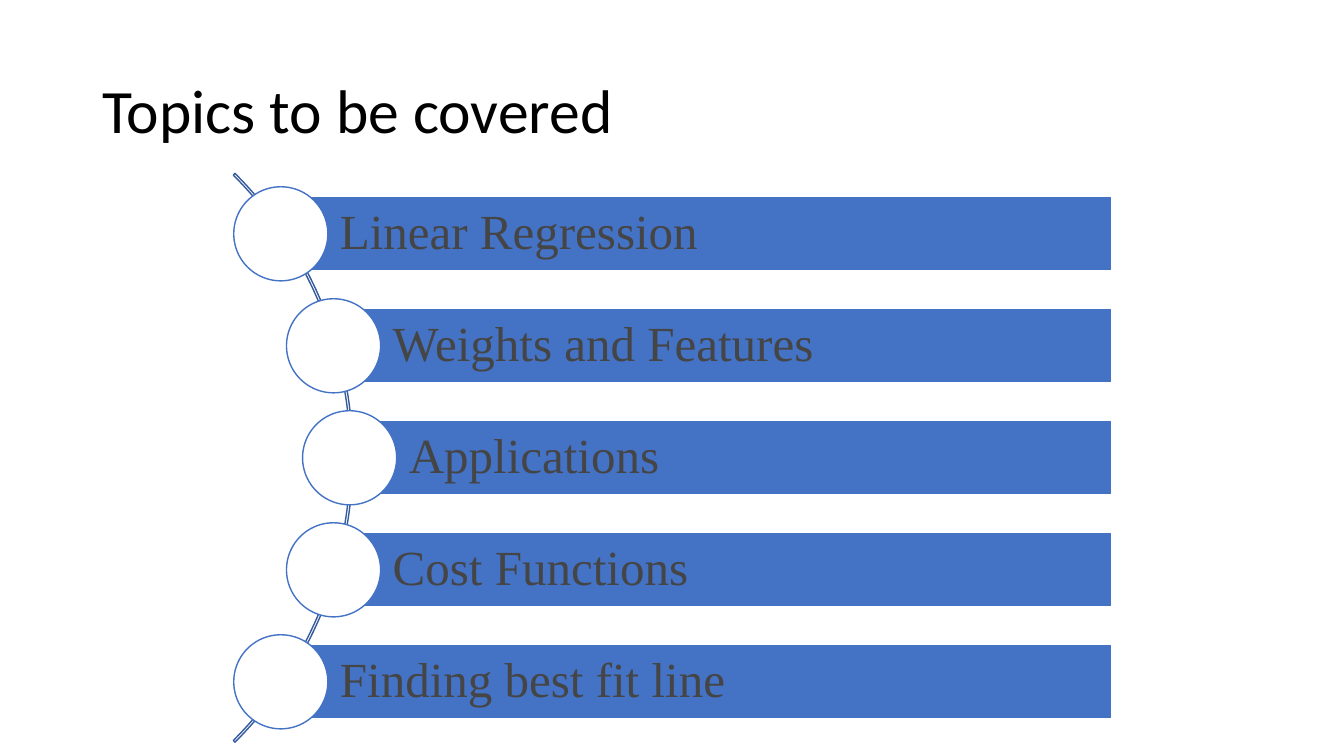
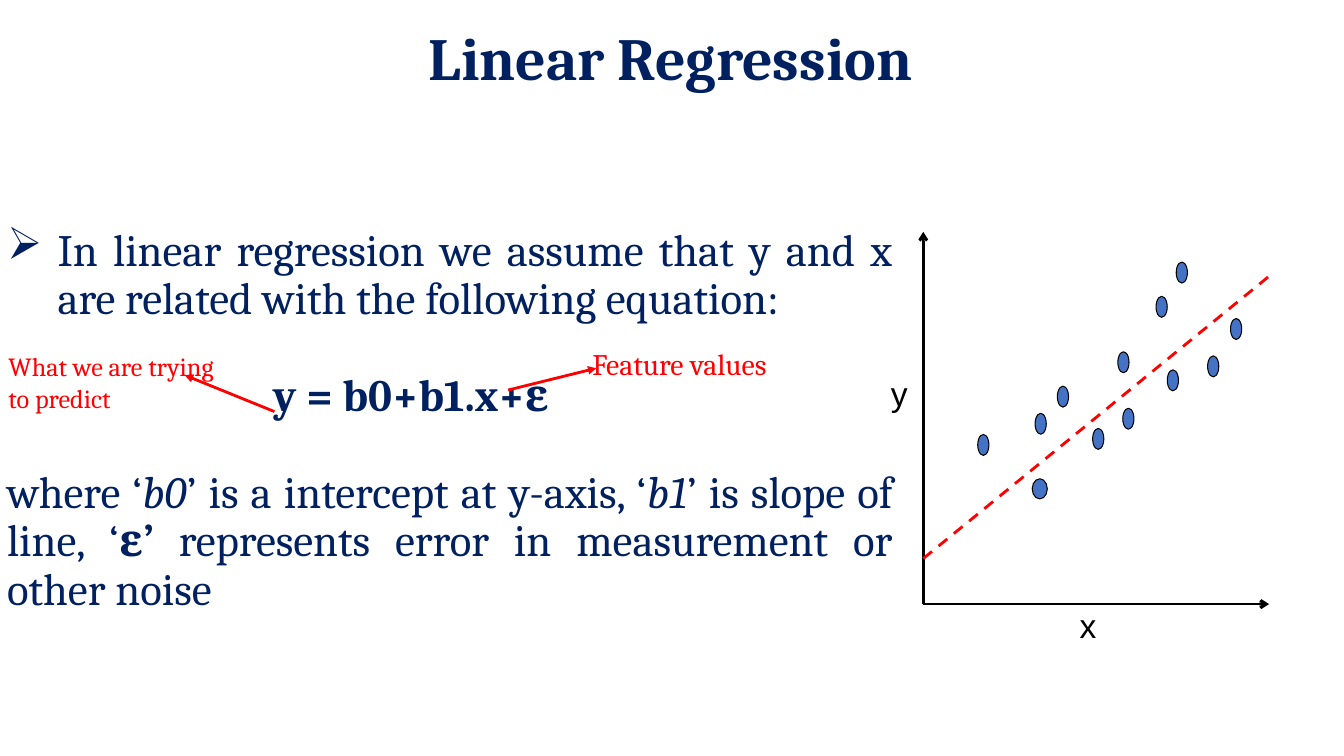
from math import sqrt

from lxml.etree import SubElement
from pptx import Presentation
from pptx.dml.color import RGBColor
from pptx.enum.dml import MSO_LINE
from pptx.enum.shapes import MSO_CONNECTOR, MSO_SHAPE
from pptx.enum.text import MSO_ANCHOR, PP_ALIGN
from pptx.oxml.ns import qn
from pptx.util import Pt

BLACK, WHITE, RED = "000000", "FFFFFF", "FF0000"
BLUE, ARC_BLUE, NAVY, GRAY = "4472C4", "365B9D", "002060", "454545"


def rgb(value):
    return RGBColor.from_string(value)


def write(tf, text, size=32, font="Cambria", color=NAVY, bold=False,
          align=PP_ALIGN.LEFT, spacing=0.9, before=0, left=0, bullet=None):
    p = tf.paragraphs[0]
    if p.runs:
        p = tf.add_paragraph()
    pPr = p._p.get_or_add_pPr()
    pPr.set("marL", str(Pt(left)))
    pPr.set("indent", str(Pt(-left if bullet else 0)))
    if bullet:
        SubElement(pPr, qn("a:buChar")).set("char", bullet)
    p.alignment, p.line_spacing = align, spacing
    if before:
        p.space_before = Pt(before)
    parts = [(text, "")] if isinstance(text, str) else text
    for words, style in parts:
        r = p.add_run()
        r.text = words
        r.font.name, r.font.size = font, Pt(size)
        r.font.color.rgb = rgb(color)
        r.font.bold = bold or style == "b"
        r.font.italic = style == "i"


class Deck:
    def __init__(self):
        self.prs = Presentation()
        self.prs.slide_width, self.prs.slide_height = Pt(960), Pt(540)

    def new_slide(self):
        s = self.prs.slides.add_slide(self.prs.slide_layouts[6])
        self.shapes = s.shapes

    def text_box(self, x, y, w, h, anchor=MSO_ANCHOR.TOP):
        tf = self.shapes.add_textbox(Pt(x), Pt(y), Pt(w), Pt(h)).text_frame
        tf.word_wrap = True
        tf.vertical_anchor = anchor
        return tf

    def title(self, text, x, y, w, h, **fmt):
        write(self.text_box(x, y, w, h, MSO_ANCHOR.MIDDLE), text, **fmt)

    def label(self, text, x, y, w, h, **fmt):
        write(self.text_box(x, y, w, h), text, spacing=1, **fmt)

    def shape(self, kind, x, y, w, h, fill, line, width=1):
        sp = self.shapes.add_shape(kind, Pt(x), Pt(y), Pt(w), Pt(h))
        sp.shadow.inherit = False
        if fill:
            sp.fill.solid()
            sp.fill.fore_color.rgb = rgb(fill)
        else:
            sp.fill.background()
        sp.line.color.rgb = rgb(line)
        sp.line.width = Pt(width)
        return sp

    def line(self, x1, y1, x2, y2, color, arrow=None, dash=None):
        sp = self.shapes.add_connector(
            MSO_CONNECTOR.STRAIGHT, Pt(x1), Pt(y1), Pt(x2), Pt(y2))
        sp.line.color.rgb = rgb(color)
        sp.line.width = Pt(2)
        if dash:
            sp.line.dash_style = dash
        if arrow:
            SubElement(sp.line._get_or_add_ln(), qn("a:tailEnd")).set("type", arrow)
        SubElement(sp._element.spPr, qn("a:effectLst"))


def topics_slide(deck):
    deck.new_slide()
    deck.title("Topics to be covered", 66, 29, 828, 104,
               size=44, font="Calibri", color=BLACK)

    arc_x, arc_y, outer, radius = -35.3, 327, 287.3, 285
    arc = deck.shape(MSO_SHAPE.BLOCK_ARC, arc_x - outer, arc_y - outer,
                     2 * outer, 2 * outer, None, ARC_BLUE)
    for i, value in enumerate((189, 27, 0.003)):
        arc.adjustments[i] = value

    topics = ["Linear Regression", "Weights and Features", "Applications",
              "Cost Functions", "Finding best fit line"]
    pitch, bar_h, dot, right = 80, 53.3, 67.2, 794
    for i, topic in enumerate(topics):
        dy = (i - 2) * pitch
        x, y = arc_x + sqrt(radius ** 2 - dy ** 2), arc_y + dy
        bar = deck.shape(MSO_SHAPE.RECTANGLE, x, y - bar_h / 2,
                         right - x, bar_h, BLUE, WHITE)
        tf = bar.text_frame
        tf.margin_left = Pt(42.3)
        tf.vertical_anchor = MSO_ANCHOR.MIDDLE
        write(tf, topic, size=35, font="Times New Roman", color=GRAY)
        deck.shape(MSO_SHAPE.OVAL, x - dot / 2, y - dot / 2, dot, dot, WHITE, BLUE)


def scatter_plot(deck):
    left, right, bottom = 659.5, 906.5, 431.5
    deck.line(left, bottom, right, bottom, BLACK, arrow="arrow")
    deck.line(left, bottom, left, 165.6, BLACK, arrow="arrow")
    deck.line(left, 399, right, 197.3, RED, dash=MSO_LINE.DASH)
    points = [(698.4, 310.3), (862.6, 254.2), (833.8, 264.2), (798.5, 251.3),
              (780.5, 306), (739.4, 295.2), (825.8, 211.7), (802, 291.6),
              (755.3, 275.8), (879, 227.5), (840.2, 187.2)]
    dots = [(x, y, 8, 15) for x, y in points] + [(737.3, 342, 10.8, 14.4)]
    for dot in dots:
        deck.shape(MSO_SHAPE.OVAL, *dot, BLUE, BLACK, 0.75)
    axis_style = dict(size=24, font="Arial", color=BLACK)
    deck.label("x", 764, 428.4, 35, 36, **axis_style)
    deck.label("y", 629.3, 262.8, 41, 36, **axis_style)


def regression_slide(deck):
    deck.new_slide()
    deck.title("Linear Regression", -2, 15, 962, 58,
               size=42.7, bold=True, align=PP_ALIGN.CENTER)

    gap = 34.6
    tf = deck.text_box(-2, 159, 647, 287)
    write(tf, "In linear regression we assume that y and x are related "
              "with the following equation:",
          align=PP_ALIGN.JUSTIFY, left=36, bullet="➢")
    write(tf, "y = b0+b1.x+ε", bold=True, before=gap, left=190)
    write(tf, [("where ‘", ""), ("b0", "i"),
               ("’ is a intercept at y-axis, ‘", ""), ("b1", "i"),
               ("’ is slope of line, ‘", ""), ("ε’ ", "b"),
               ("represents error in measurement or other noise", "")],
          align=PP_ALIGN.JUSTIFY, before=gap)

    deck.label("What we are trying to predict", -1, 247, 161, 53,
               size=18.7, color=RED)
    deck.line(196, 294, 132, 268, RED, arrow="triangle")
    deck.label("Feature values", 416, 243.4, 208, 33, size=21.3, color=RED)
    deck.line(363, 278.6, 426, 263, RED, arrow="triangle")
    scatter_plot(deck)


def main():
    deck = Deck()
    topics_slide(deck)
    regression_slide(deck)
    deck.prs.save("out.pptx")


if __name__ == "__main__":
    main()
